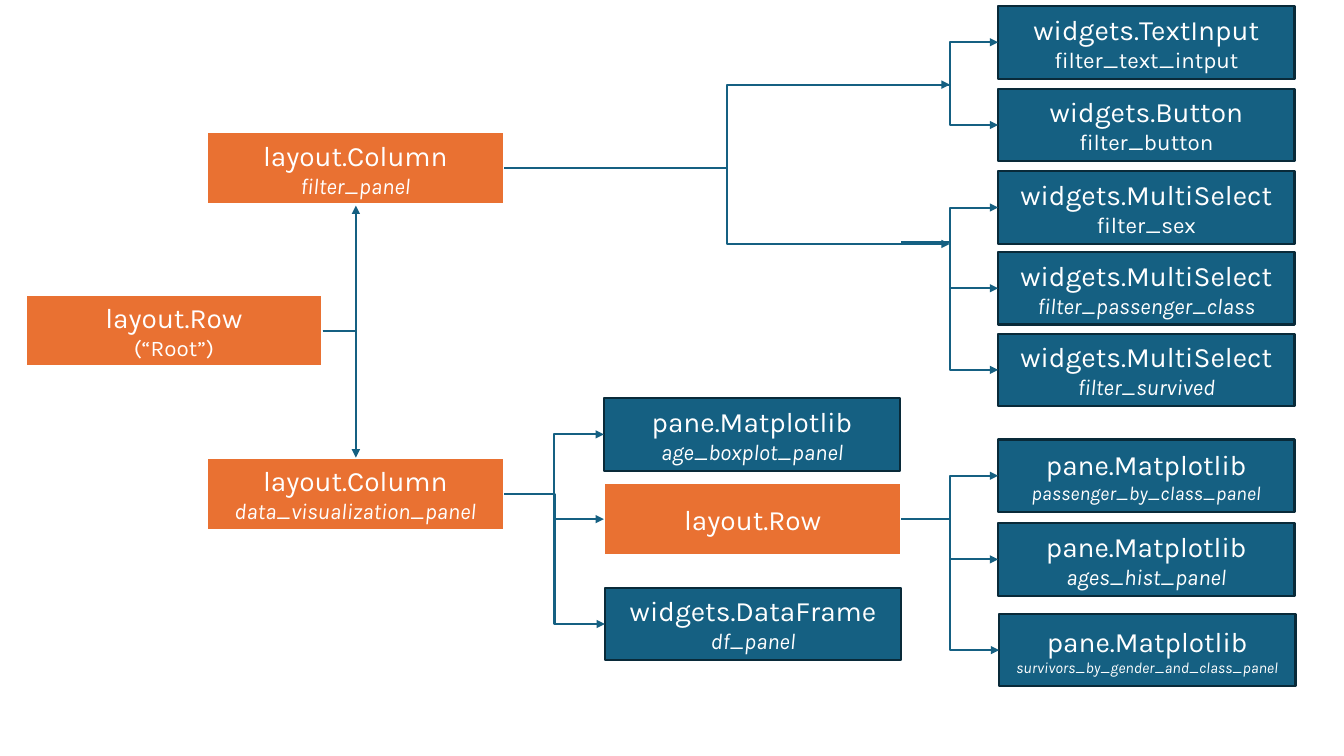
from lxml.etree import SubElement
from pptx import Presentation
from pptx.dml.color import RGBColor
from pptx.enum.shapes import MSO_CONNECTOR, MSO_SHAPE
from pptx.enum.text import MSO_ANCHOR, PP_ALIGN
from pptx.oxml.ns import qn
from pptx.util import Pt

PX = 9144  # 100 px to the inch
SLIDE_W, SLIDE_H = 1333, 750
BOX_H = 72
FONT = "Karla"
TITLE_SIZE = 20
LINE_WIDTH = 1.5
COLORS = {"orange": "E97132", "blue": "156082", "navy": "092A39", "white": "FFFFFF"}

# kind: width, fill, outline, outline width
KINDS = {
    "layout": (295, "orange", "white", 2),
    "leaf": (294, "blue", "navy", 1.5),
}

# key: kind, left, top, class, variable, variable size, italic
BOXES = {
    "root": ("layout", 25, 292, "layout.Row", "(“Root”)", 16, False),
    "filters": ("layout", 205, 131, "layout.Column", "filter_panel", 16, True),
    "visuals": ("layout", 205, 454, "layout.Column", "data_visualization_panel", 16, True),
    "text": ("leaf", 990, 6, "widgets.TextInput", "filter_text_intput", 16, False),
    "button": ("leaf", 990, 88, "widgets.Button", "filter_button", 16, False),
    "sex": ("leaf", 990, 170, "widgets.MultiSelect", "filter_sex", 16, False),
    "class": ("leaf", 990, 250, "widgets.MultiSelect", "filter_passenger_class", 16, True),
    "survived": ("leaf", 990, 331, "widgets.MultiSelect", "filter_survived", 16, True),
    "boxplot": ("leaf", 599, 395, "pane.Matplotlib", "age_boxplot_panel", 16, True),
    "charts": ("layout", 599, 479, "layout.Row", None, None, False),
    "table": ("leaf", 600, 583, "widgets.DataFrame", "df_panel", 16, True),
    "by_class": ("leaf", 990, 436, "pane.Matplotlib", "passenger_by_class_panel", 14, True),
    "ages": ("leaf", 990, 519, "pane.Matplotlib", "ages_hist_panel", 16, True),
    "by_gender": ("leaf", 991, 609, "pane.Matplotlib",
                  "survivors_by_gender_and_class_panel", 11, True),
}

# Points where the filter branches split
SPLIT_X = 942
SPLIT_YS = (84, 242)
INPUTS_START, SELECTS_START = (894, 84), (894, 240)

BRANCHES = [
    (INPUTS_START, ["text", "button"]),
    (SELECTS_START, ["sex", "class", "survived"]),
    ("visuals", ["boxplot", "charts", "table"]),
    ("charts", ["by_class", "ages", "by_gender"]),
]


def rgb(name):
    return RGBColor.from_string(COLORS[name])


def left_middle(key):
    _, left, top, *_ = BOXES[key]
    return left, top + BOX_H // 2


def right_middle(key):
    x, y = left_middle(key)
    return x + KINDS[BOXES[key][0]][0], y


def add_box(slide, kind, left, top, class_name, variable, size, italic):
    width, fill, outline, outline_width = KINDS[kind]
    box = slide.shapes.add_shape(
        MSO_SHAPE.RECTANGLE, left * PX, top * PX, width * PX, BOX_H * PX)
    box.shadow.inherit = False
    box.fill.solid()
    box.fill.fore_color.rgb = rgb(fill)
    box.line.color.rgb = rgb(outline)
    box.line.width = Pt(outline_width)

    frame = box.text_frame
    frame.word_wrap = True
    frame.vertical_anchor = MSO_ANCHOR.MIDDLE
    frame.text = f"{class_name}\n{variable}" if variable else class_name
    styles = [(TITLE_SIZE, False), (size, italic)]
    for paragraph, (points, slanted) in zip(frame.paragraphs, styles):
        paragraph.alignment = PP_ALIGN.CENTER
        font = paragraph.runs[0].font
        font.name = FONT
        font.size = Pt(points)
        font.italic = slanted
        font.color.rgb = rgb("white")


def add_arrow(slide, start, end, preset="bentConnector3"):
    """Draw an elbow arrow; bentConnector2 has one corner, bentConnector3 two."""
    ends = [value * PX for value in (*start, *end)]
    arrow = slide.shapes.add_connector(MSO_CONNECTOR.ELBOW, *ends)
    arrow.line.color.rgb = rgb("blue")
    arrow.line.width = Pt(LINE_WIDTH)
    properties = arrow._element.spPr
    properties.find(qn("a:prstGeom")).set("prst", preset)
    SubElement(properties.find(qn("a:ln")), qn("a:tailEnd"), type="triangle")
    SubElement(properties, qn("a:effectLst"))


def main():
    deck = Presentation()
    deck.slide_width, deck.slide_height = SLIDE_W * PX, SLIDE_H * PX
    slide = deck.slides.add_slide(deck.slide_layouts[6])

    for box in BOXES.values():
        add_box(slide, *box)

    column_x = BOXES["filters"][1] + KINDS["layout"][0] // 2 + 1
    filters_bottom = BOXES["filters"][2] + BOX_H + 1
    for y in (filters_bottom, BOXES["visuals"][2]):
        add_arrow(slide, right_middle("root"), (column_x, y), "bentConnector2")

    for y in SPLIT_YS:
        add_arrow(slide, right_middle("filters"), (SPLIT_X, y))

    for source, targets in BRANCHES:
        start = right_middle(source) if source in BOXES else source
        for target in targets:
            add_arrow(slide, start, left_middle(target))

    deck.save("out.pptx")


if __name__ == "__main__":
    main()
